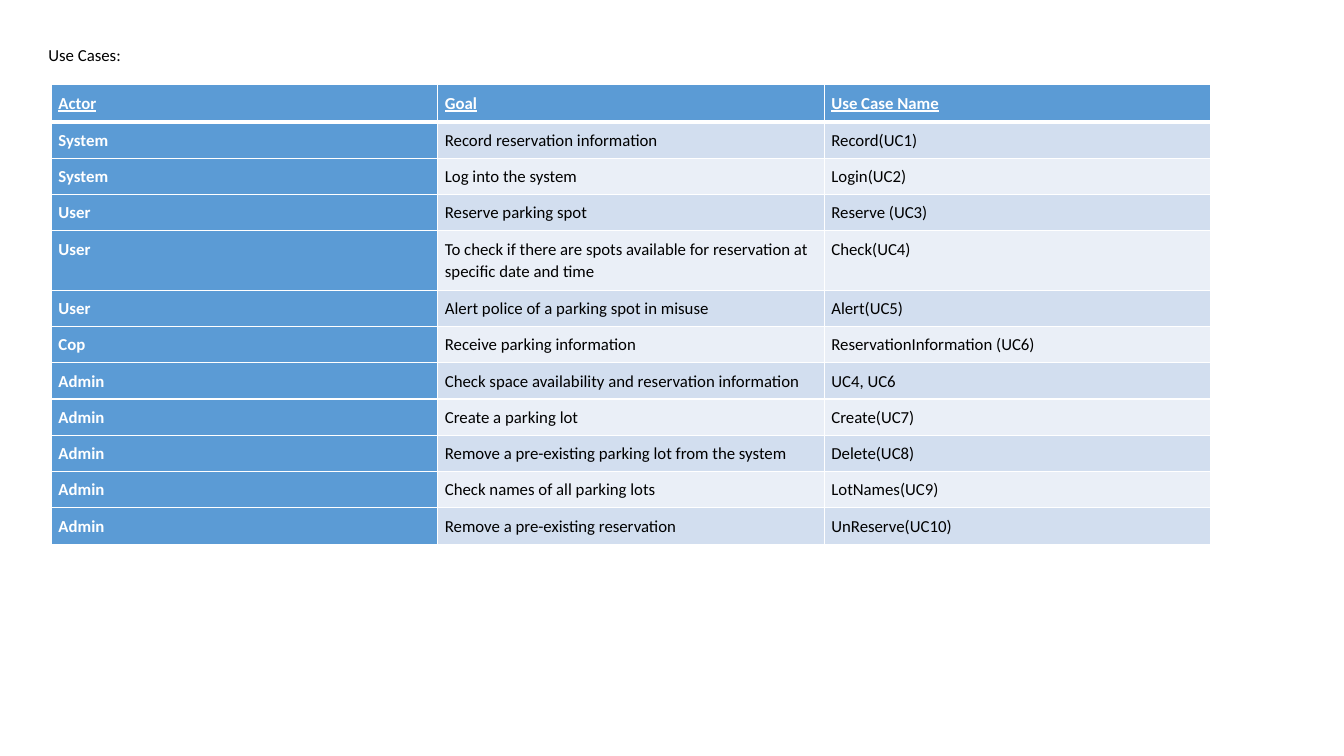
from lxml import etree
from pptx import Presentation
from pptx.dml.color import RGBColor
from pptx.enum.text import MSO_ANCHOR, MSO_AUTO_SIZE, PP_ALIGN
from pptx.oxml.ns import qn
from pptx.util import Pt

PX = 9144
LEFT = PP_ALIGN.LEFT
TOP = MSO_ANCHOR.TOP
FIXED = MSO_AUTO_SIZE.NONE

WHITE = RGBColor(0xFF, 0xFF, 0xFF)
BLACK = RGBColor(0, 0, 0)
BLUE = RGBColor(0x5B, 0x9B, 0xD5)
BANDS = [RGBColor(0xD2, 0xDE, 0xEF), RGBColor(0xEA, 0xEF, 0xF7)]

BASE = {"name": "Calibri", "size": Pt(12)}
PLAIN = {**BASE, "color": BLACK, "bold": False}
ACTOR = {**BASE, "color": WHITE, "bold": True}
HEAD = {**ACTOR, "underline": True}

CASES = [
    ("Actor", "Goal", "Use Case Name"),
    ("System", "Record reservation information", "Record(UC1)"),
    ("System", "Log into the system", "Login(UC2)"),
    ("User", "Reserve parking spot", "Reserve (UC3)"),
    ("User", "To check if there are spots available for reservation at "
             "specific date and time", "Check(UC4)"),
    ("User", "Alert police of a parking spot in misuse", "Alert(UC5)"),
    ("Cop", "Receive parking information", "ReservationInformation (UC6)"),
    ("Admin", "Check space availability and reservation information", "UC4, UC6"),
    ("Admin", "Create a parking lot", "Create(UC7)"),
    ("Admin", "Remove a pre-existing parking lot from the system", "Delete(UC8)"),
    ("Admin", "Check names of all parking lots", "LotNames(UC9)"),
    ("Admin", "Remove a pre-existing reservation", "UnReserve(UC10)"),
]
HEIGHTS = {0: 37, 4: 59}


def put(item, form):
    for key, value in form.items():
        setattr(item, key, value)


def write(frame, text, form):
    para = frame.paragraphs[0]
    run = para.add_run()
    run.text = text
    for key, value in form.items():
        if key == "color":
            run.font.color.rgb = value
        else:
            setattr(run.font, key, value)
    return para


def edge(cell, side, width):
    props = cell._tc.get_or_add_tcPr()
    line = etree.SubElement(props, qn("a:ln" + side), w=str(Pt(width)))
    fill = etree.SubElement(line, qn("a:solidFill"))
    etree.SubElement(fill, qn("a:srgbClr"), val=str(WHITE))


def add_title(slide, text, box):
    title = slide.shapes.title
    put(title, dict(zip(("left", "top", "width", "height"),
                        (n * PX for n in box))))
    put(title.text_frame, {"auto_size": FIXED, "word_wrap": False,
                           "vertical_anchor": TOP, "margin_top": 0})
    write(title.text_frame, text, PLAIN).alignment = LEFT


def add_cell(cell, text, row, col):
    pad = 7 * PX
    put(cell, {"margin_left": pad, "margin_right": pad, "margin_top": pad,
               "margin_bottom": pad, "vertical_anchor": TOP})
    thick = {(0, "B"), (1, "T")}
    for side in "LRTB":
        edge(cell, side, 3 if (row, side) in thick else 1)
    lead = row == 0 or col == 0
    cell.fill.solid()
    cell.fill.fore_color.rgb = BLUE if lead else BANDS[(row - 1) % 2]
    form = HEAD if row == 0 else ACTOR if col == 0 else PLAIN
    write(cell.text_frame, text, form).line_spacing = 1.07


def add_cases(slide, rows, box):
    count = len(rows[0])
    frame = slide.shapes.add_table(len(rows), count, *(n * PX for n in box))
    table = frame.table
    for col in table.columns:
        col.width = box[2] * PX // count
    for r, texts in enumerate(rows):
        table.rows[r].height = HEIGHTS.get(r, 36) * PX
        for c, text in enumerate(texts):
            add_cell(table.cell(r, c), text, r, c)


def main():
    deck = Presentation()
    put(deck, {"slide_width": 1333 * PX, "slide_height": 750 * PX})
    slide = deck.slides.add_slide(deck.slide_layouts.get_by_name("Title Only"))
    add_title(slide, "Use Cases:", (38, 44, 1295, 50))
    add_cases(slide, CASES, (51, 84, 1150, 456))
    deck.save("out.pptx")


if __name__ == "__main__":
    main()
